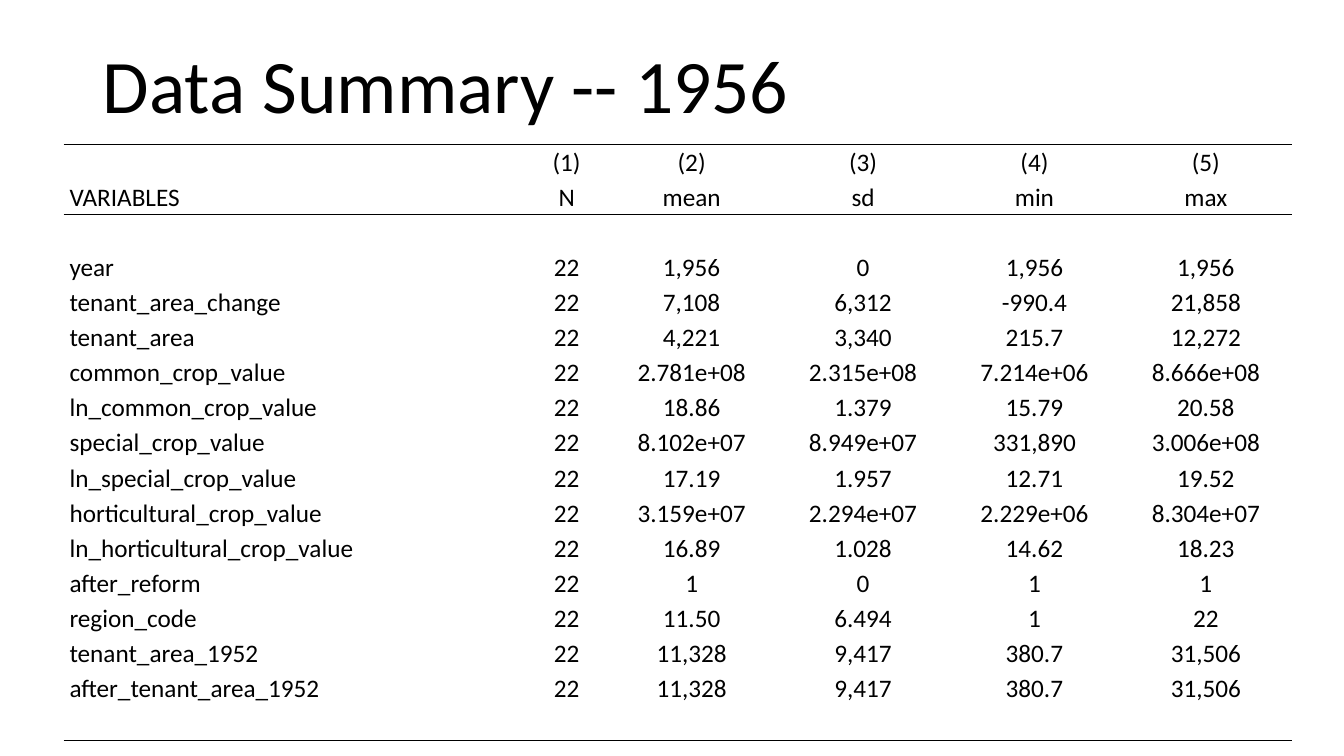
from dataclasses import dataclass

from lxml.etree import SubElement
from pptx import Presentation
from pptx.dml.color import RGBColor
from pptx.enum.text import MSO_ANCHOR, MSO_AUTO_SIZE, PP_ALIGN
from pptx.oxml.ns import qn
from pptx.slide import Slide
from pptx.table import _Cell as Cell
from pptx.text.text import _Paragraph as Paragraph
from pptx.util import Inches, Pt


@dataclass(frozen=True)
class Theme:
    font: str = "Calibri"
    ink: str = "000000"
    title_size: int = 54
    cell_size: int = 18
    rule_width: int = 1


@dataclass(frozen=True)
class Variable:
    name: str
    mean: str
    sd: str
    low: str
    high: str
    n: str = "22"

    def row(self) -> list[str]:
        return [self.name, self.n, self.mean, self.sd, self.low, self.high]


THEME = Theme()
COLUMN_WIDTHS = [4.6, 0.78] + [1.7] * 4
TABLE_LEFT, TABLE_TOP, TABLE_HEIGHT = 0.63, 1.43, 5.92

VARIABLES = [
    Variable("year", "1,956", "0", "1,956", "1,956"),
    Variable("tenant_area_change", "7,108", "6,312", "-990.4", "21,858"),
    Variable("tenant_area", "4,221", "3,340", "215.7", "12,272"),
    Variable("common_crop_value", "2.781e+08", "2.315e+08", "7.214e+06", "8.666e+08"),
    Variable("ln_common_crop_value", "18.86", "1.379", "15.79", "20.58"),
    Variable("special_crop_value", "8.102e+07", "8.949e+07", "331,890", "3.006e+08"),
    Variable("ln_special_crop_value", "17.19", "1.957", "12.71", "19.52"),
    Variable("horticultural_crop_value", "3.159e+07", "2.294e+07", "2.229e+06", "8.304e+07"),
    Variable("ln_horticultural_crop_value", "16.89", "1.028", "14.62", "18.23"),
    Variable("after_reform", "1", "0", "1", "1"),
    Variable("region_code", "11.50", "6.494", "1", "22"),
    Variable("tenant_area_1952", "11,328", "9,417", "380.7", "31,506"),
    Variable("after_tenant_area_1952", "11,328", "9,417", "380.7", "31,506"),
]
BLANK_ROW = [""] * len(COLUMN_WIDTHS)
ROWS = [
    ["", "(1)", "(2)", "(3)", "(4)", "(5)"],
    ["VARIABLES", "N", "mean", "sd", "min", "max"],
    BLANK_ROW,
    *(v.row() for v in VARIABLES),
    BLANK_ROW,
]
RULED_EDGES = {0, 2, len(ROWS)}  # row boundaries that carry a line


def add_run(p: Paragraph, text: str, size: int) -> None:
    r = p.add_run()
    r.text = text
    r.font.name = THEME.font
    r.font.size = Pt(size)
    r.font.color.rgb = RGBColor.from_string(THEME.ink)


def set_borders(cell: Cell, top: bool, bottom: bool) -> None:
    tc_pr = cell._tc.get_or_add_tcPr()
    for side, ruled in (("L", False), ("R", False), ("T", top), ("B", bottom)):
        ln = SubElement(tc_pr, qn(f"a:ln{side}"), w=str(Pt(THEME.rule_width)))
        if ruled:
            SubElement(SubElement(ln, qn("a:solidFill")), qn("a:srgbClr"), val=THEME.ink)
        else:
            SubElement(ln, qn("a:noFill"))


def fill_cell(cell: Cell, text: str, row: int, col: int) -> None:
    set_borders(cell, row in RULED_EDGES, row + 1 in RULED_EDGES)
    cell.fill.background()
    cell.margin_left = cell.margin_right = Inches(0.06)
    cell.margin_top, cell.margin_bottom = Inches(0.01), 0
    if text:
        p = cell.text_frame.paragraphs[0]
        p.line_spacing = 1.07
        p.alignment = PP_ALIGN.CENTER if col else PP_ALIGN.LEFT
        add_run(p, text, THEME.cell_size)


def add_title(s: Slide, text: str) -> None:
    title = s.shapes.title
    title.left, title.top = Inches(0.92), Inches(0.32)
    title.width, title.height = Inches(11.5), Inches(1.02)
    tf = title.text_frame
    tf.auto_size = MSO_AUTO_SIZE.NONE
    tf.vertical_anchor = MSO_ANCHOR.BOTTOM
    p = tf.paragraphs[0]
    p.alignment = PP_ALIGN.LEFT
    p.line_spacing = 0.9
    add_run(p, text, THEME.title_size)


def add_summary_table(s: Slide) -> None:
    table = s.shapes.add_table(
        len(ROWS), len(COLUMN_WIDTHS), Inches(TABLE_LEFT), Inches(TABLE_TOP),
        Inches(sum(COLUMN_WIDTHS)), Inches(TABLE_HEIGHT),
    ).table
    table.first_row = table.horz_banding = False
    for column, width in zip(table.columns, COLUMN_WIDTHS):
        column.width = Inches(width)
    for i, texts in enumerate(ROWS):
        for j, text in enumerate(texts):
            fill_cell(table.cell(i, j), text, i, j)


def main() -> None:
    prs = Presentation()
    prs.slide_width, prs.slide_height = Inches(13.33), Inches(7.5)
    s = prs.slides.add_slide(prs.slide_layouts[5])  # title only
    add_title(s, "Data Summary -- 1956")
    add_summary_table(s)
    prs.save("out.pptx")


if __name__ == "__main__":
    main()
